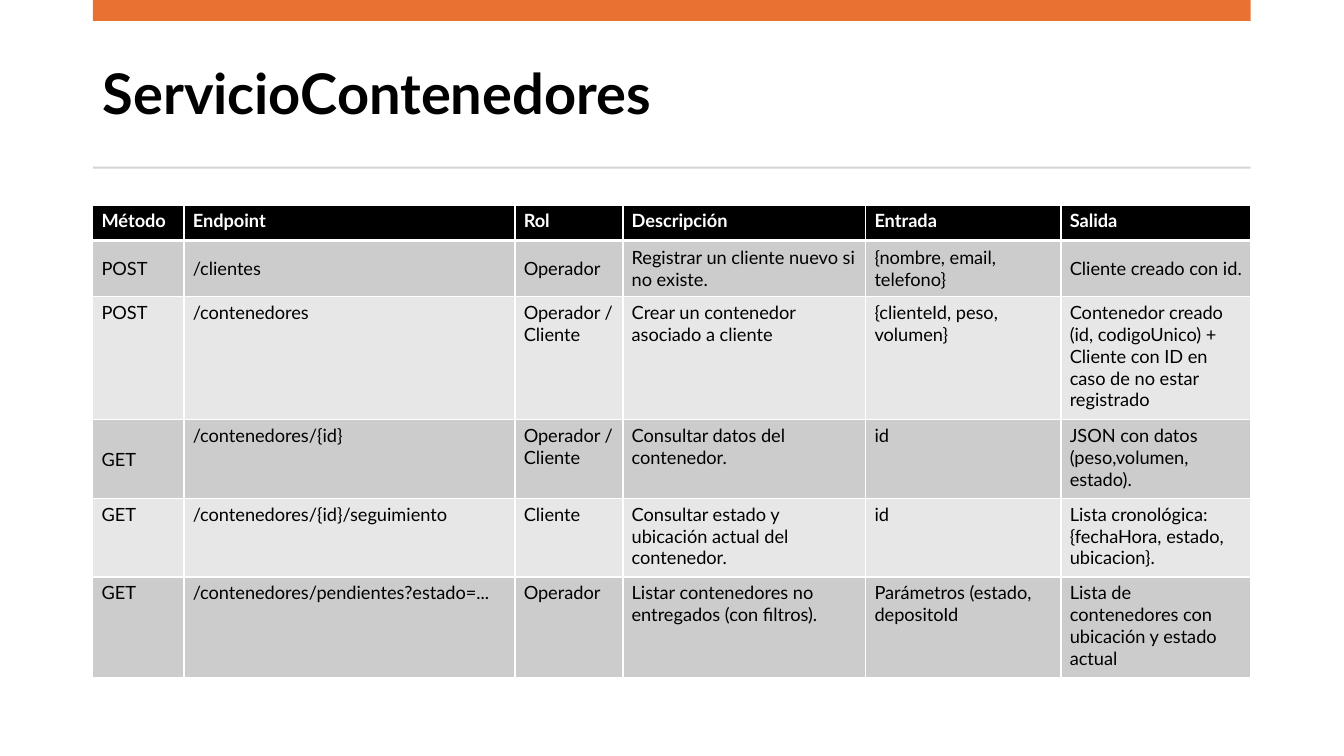
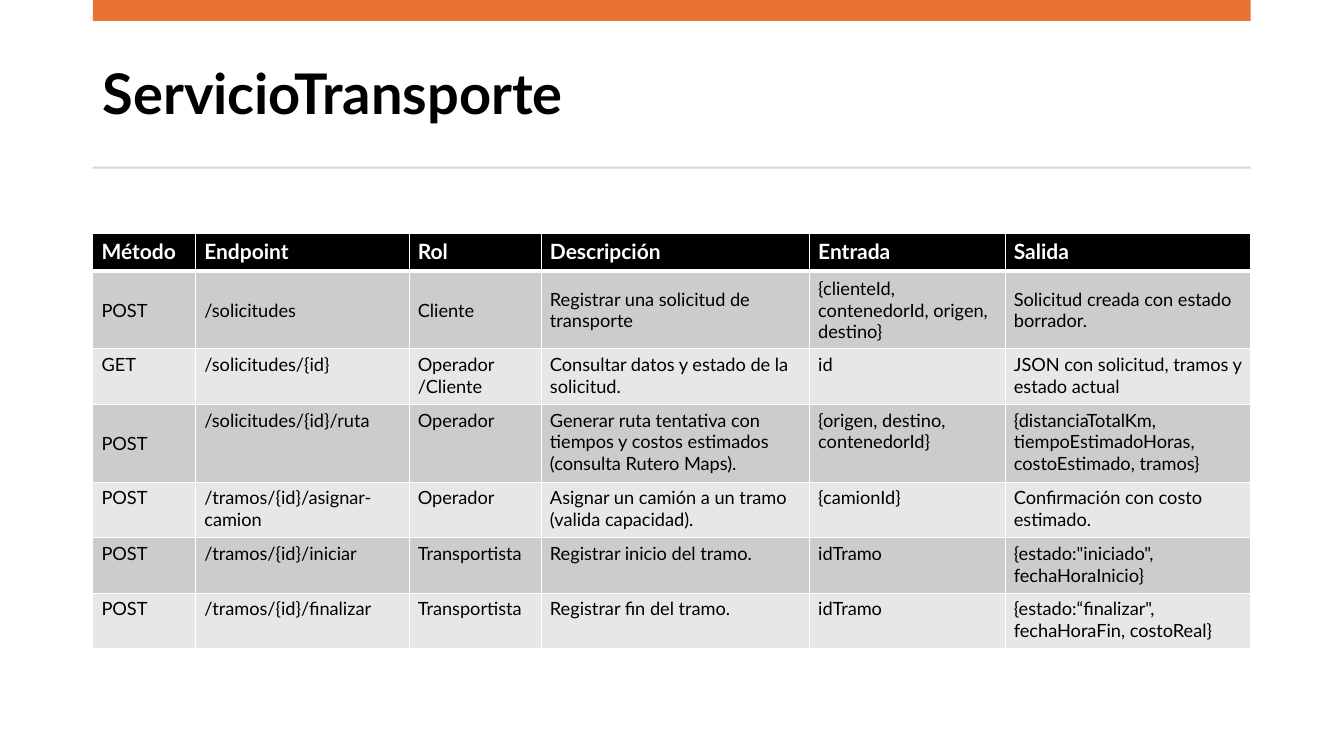
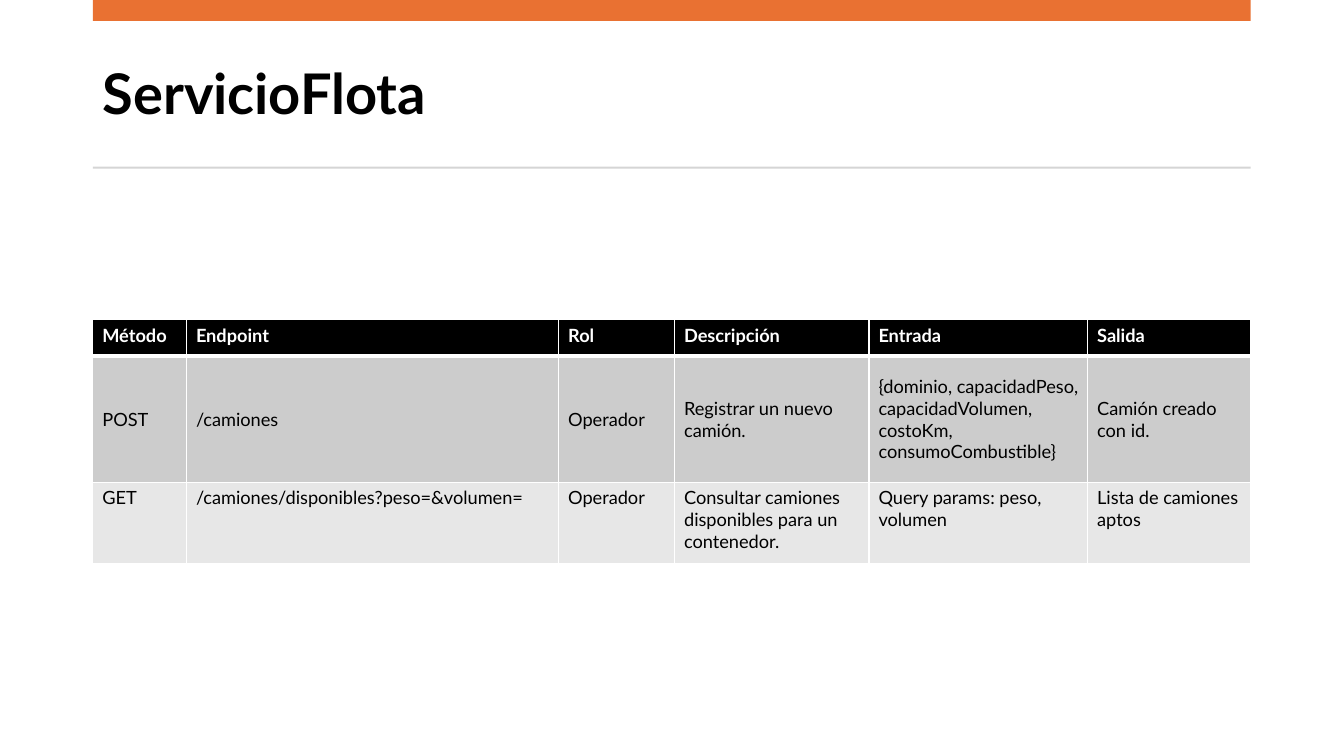
"""Build three slides that list the endpoints of each service."""
from dataclasses import dataclass
from typing import Any

from lxml.etree import SubElement as Sub
from pptx import Presentation as Deck
from pptx.dml.color import RGBColor as Color
from pptx.enum.shapes import MSO_SHAPE as Shape
from pptx.enum.text import MSO_ANCHOR as Anchor
from pptx.oxml.ns import qn
from pptx.util import Cm, Pt

BLACK = Color(0x00, 0x00, 0x00)
WHITE = Color(0xFF, 0xFF, 0xFF)
ORANGE = Color(0xE9, 0x71, 0x32)
SILVER = Color(0xD5, 0xD5, 0xD5)
DARK = Color(0xCC, 0xCC, 0xCC)
LIGHT = Color(0xE7, 0xE7, 0xE7)

FONT = "Lato"
LEFT, WIDTH = 2.34, 29.18
HEADS = ("Método", "Endpoint", "Rol", "Descripción", "Entrada", "Salida")
TITLE = {"name": FONT, "size": Pt(40), "bold": True}
HEAD = {"name": FONT, "bold": True}
BODY = {"name": FONT, "size": Pt(13), "bold": False}


@dataclass(frozen=True)
class Band:
    """A flat bar across the slide, in centimetres."""
    top: float
    height: float
    color: Color


@dataclass(frozen=True)
class Service:
    """A service and its table, in centimetres."""
    name: str
    top: float
    pad: float
    head: int
    cols: tuple[float, ...]
    rows: tuple[float, ...]
    calls: tuple[tuple[str, ...], ...]


BANDS = (Band(0, 0.53, ORANGE), Band(4.2, 0.05, SILVER))

SERVICES = (
    Service(
        "ServicioContenedores", 5.17, 0.22, 13,
        (2.3, 8.34, 2.72, 6.12, 4.92, 4.78),
        (0.89, 1.42, 3.1, 1.98, 1.98, 2.54),
        (
            ("POST", "/clientes", "Operador",
             "Registrar un cliente nuevo si no existe.",
             "{nombre, email, telefono}", "Cliente creado con id."),
            ("POST", "/contenedores", "Operador /Cliente",
             "Crear un contenedor asociado a cliente",
             "{clienteId, peso, volumen}",
             "Contenedor creado (id, codigoUnico) + Cliente con ID en caso "
             "de no estar registrado"),
            ("GET", "/contenedores/{id}", "Operador /Cliente",
             "Consultar datos del contenedor.", "id",
             "JSON con datos (peso,volumen, estado)."),
            ("GET", "/contenedores/{id}/seguimiento", "Cliente",
             "Consultar estado y ubicación actual del contenedor.", "id",
             "Lista cronológica: {fechaHora, estado, ubicacion}."),
            ("GET", "/contenedores/pendientes?estado=...", "Operador",
             "Listar contenedores no entregados (con filtros).",
             "Parámetros (estado, depositoId",
             "Lista de contenedores con ubicación y estado actual"),
        ),
    ),
    Service(
        "ServicioTransporte", 5.89, 0.22, 15,
        (2.59, 5.38, 3.33, 6.76, 4.93, 6.19),
        (0.94, 1.96, 1.4, 1.96, 1.4, 1.4, 1.4),
        (
            ("POST", "/solicitudes", "Cliente",
             "Registrar una solicitud de transporte",
             "{clienteId, contenedorId, origen, destino}",
             "Solicitud creada con estado borrador."),
            ("GET", "/solicitudes/{id}", "Operador /Cliente",
             "Consultar datos y estado de la solicitud.", "id",
             "JSON con solicitud, tramos y estado actual"),
            ("POST", "/solicitudes/{id}/ruta", "Operador",
             "Generar ruta tentativa con tiempos y costos estimados "
             "(consulta Rutero Maps).",
             "{origen, destino, contenedorId}",
             "{distanciaTotalKm, tiempoEstimadoHoras, costoEstimado, tramos}"),
            ("POST", "/tramos/{id}/asignar-camion", "Operador",
             "Asignar un camión a un tramo (valida capacidad).",
             "{camionId}", "Confirmación con costo estimado."),
            ("POST", "/tramos/{id}/iniciar", "Transportista",
             "Registrar inicio del tramo.", "idTramo",
             '{estado:"iniciado", fechaHoraInicio}'),
            ("POST", "/tramos/{id}/finalizar", "Transportista",
             "Registrar fin del tramo.", "idTramo",
             '{estado:“finalizar", fechaHoraFin, costoReal}'),
        ),
    ),
    Service(
        "ServicioFlota", 8.06, 0.24, 13,
        (2.36, 9.38, 2.92, 4.9, 5.51, 4.11),
        (0.91, 3.18, 2.06),
        (
            ("POST", "/camiones", "Operador", "Registrar un nuevo camión.",
             "{dominio, capacidadPeso, capacidadVolumen, costoKm, "
             "consumoCombustible}",
             "Camión creado con id."),
            ("GET", "/camiones/disponibles?peso=&volumen=", "Operador",
             "Consultar camiones disponibles para un contenedor.",
             "Query params: peso, volumen", "Lista de camiones aptos"),
        ),
    ),
)


def apply(item: Any, form: dict[str, Any]) -> None:
    """Set each value of the format on the item."""
    for key, value in form.items():
        setattr(item, key, value)


def write(frame: Any, text: str, form: dict[str, Any], color: Color) -> None:
    """Put one run of text with its font into the frame."""
    run = frame.paragraphs[0].add_run()
    run.text = text
    apply(run.font, form)
    run.font.color.rgb = color


def add_band(slide: Any, band: Band) -> None:
    """Draw one flat bar."""
    bar = slide.shapes.add_shape(
        Shape.RECTANGLE, Cm(LEFT), Cm(band.top), Cm(WIDTH), Cm(band.height))
    bar.shadow.inherit = False
    bar.fill.solid()
    bar.fill.fore_color.rgb = band.color
    bar.line.fill.background()


def add_title(slide: Any, text: str) -> None:
    """Write the slide title."""
    box = slide.shapes.add_textbox(Cm(LEFT), Cm(0.94), Cm(WIDTH), Cm(3))
    frame = box.text_frame
    apply(frame, {"word_wrap": True, "vertical_anchor": Anchor.MIDDLE})
    write(frame, text, TITLE, BLACK)
    frame.paragraphs[0].line_spacing = 0.9


def add_edges(cell: Any, row: int) -> None:
    """Rule the cell in white, thick below the head row."""
    thick = {(0, "lnB"), (1, "lnT")}
    props = cell._tc.get_or_add_tcPr()
    for side in ("lnL", "lnR", "lnT", "lnB"):
        width = Pt(3 if (row, side) in thick else 1)
        line = Sub(props, qn(f"a:{side}"), w=str(width))
        fill = Sub(line, qn("a:solidFill"))
        Sub(fill, qn("a:srgbClr"), val=str(WHITE))


def add_grid(slide: Any, service: Service) -> None:
    """Draw the table of calls."""
    lines = (HEADS, *service.calls)
    grid = slide.shapes.add_table(
        len(lines), len(HEADS), Cm(LEFT), Cm(service.top),
        Cm(WIDTH), Cm(sum(service.rows))).table
    grid.horz_banding = False
    for col, width in zip(grid.columns, service.cols):
        col.width = Cm(width)
    for row, height in zip(grid.rows, service.rows):
        row.height = Cm(height)
    pad = Cm(service.pad)
    form = {"margin_left": pad, "margin_right": pad,
            "margin_top": Cm(0.12), "margin_bottom": Cm(0.12)}
    for r, line in enumerate(lines):
        if r == 0:
            back, ink = BLACK, WHITE
            font = HEAD | {"size": Pt(service.head)}
        else:
            back, ink, font = (DARK if r % 2 else LIGHT), BLACK, BODY
        for c, text in enumerate(line):
            cell = grid.cell(r, c)
            mid = r == 1 or (r, c) == (3, 0)
            apply(cell, form | {
                "vertical_anchor": Anchor.MIDDLE if mid else Anchor.TOP})
            add_edges(cell, r)
            cell.fill.solid()
            cell.fill.fore_color.rgb = back
            write(cell.text_frame, text, font, ink)


def main() -> None:
    """Build and save the deck."""
    deck = Deck()
    apply(deck, {"slide_width": Cm(33.87), "slide_height": Cm(19.05)})
    for service in SERVICES:
        slide = deck.slides.add_slide(deck.slide_layouts[6])
        add_title(slide, service.name)
        for band in BANDS:
            add_band(slide, band)
        add_grid(slide, service)
    deck.save("out.pptx")


if __name__ == "__main__":
    main()
